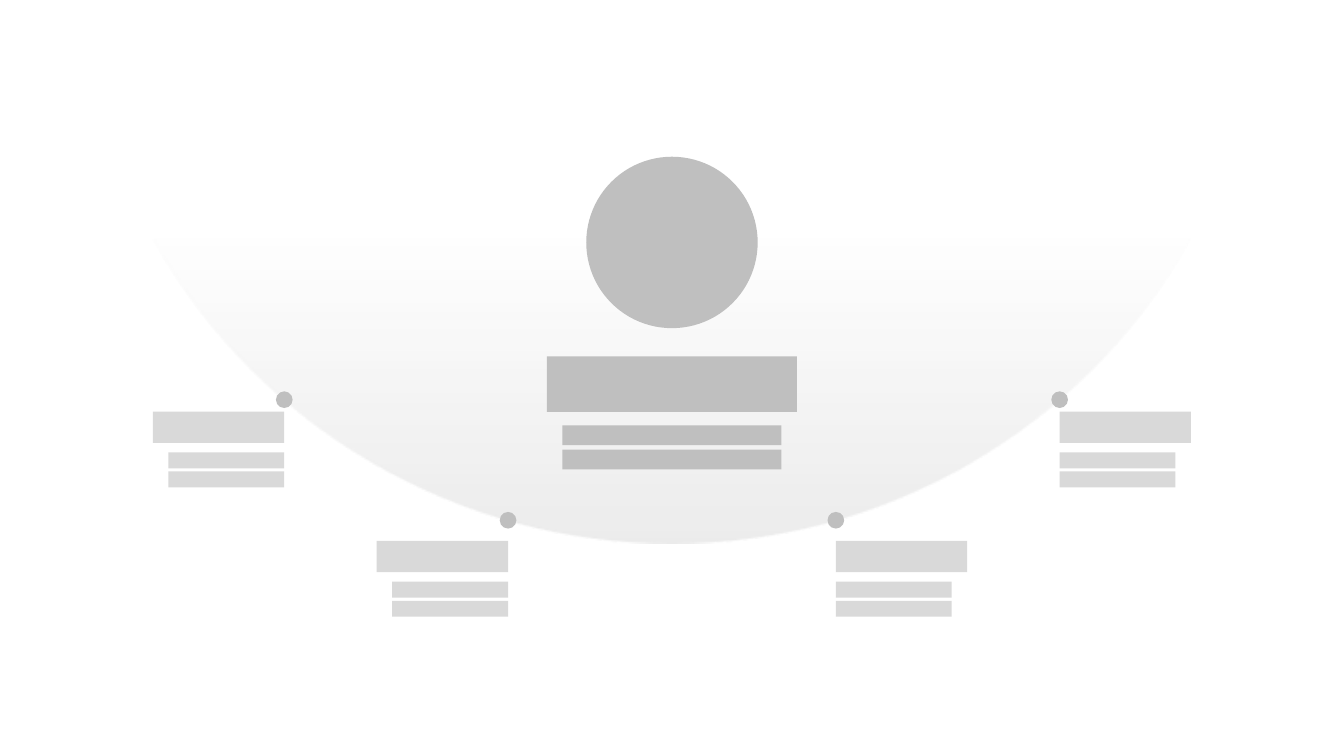
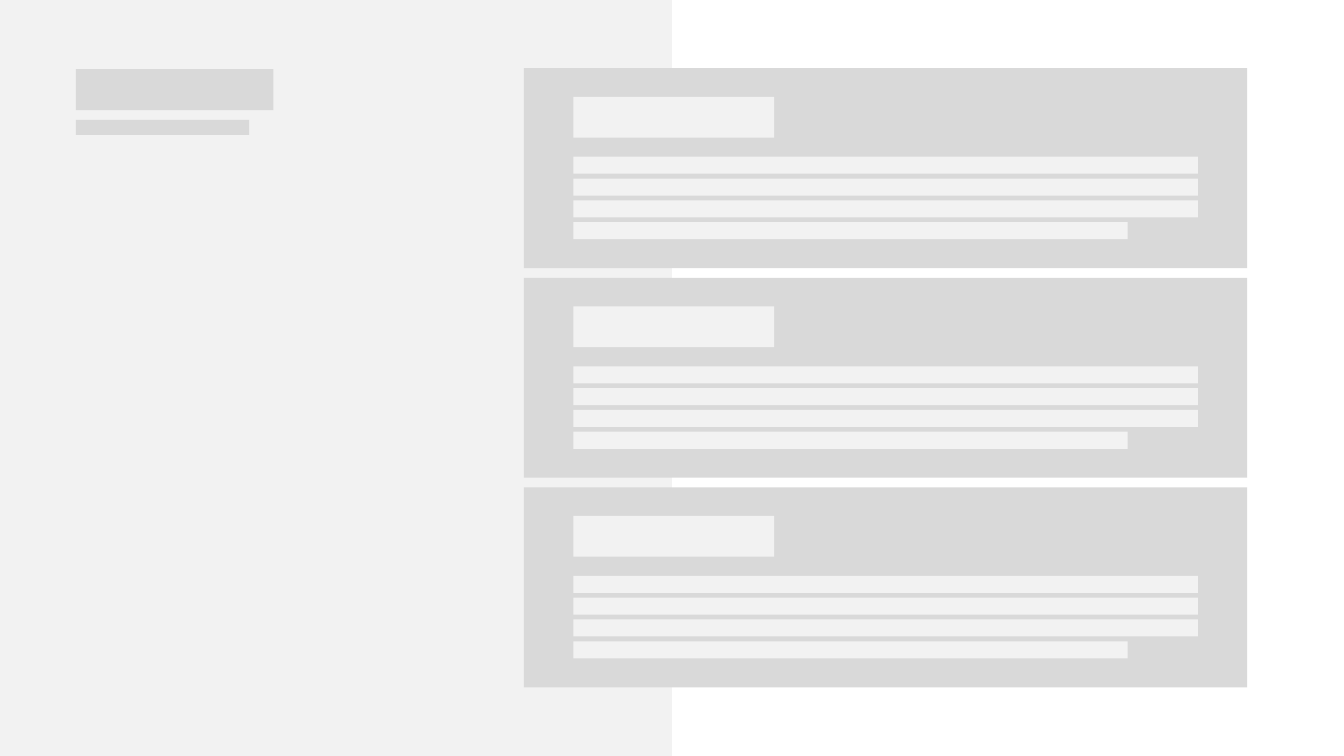
"""Build two wireframe slides: a profile on an arc and a column of cards."""
from dataclasses import dataclass
from math import sqrt

from lxml import etree
from pptx import Presentation
from pptx.dml.color import RGBColor
from pptx.enum.shapes import MSO_SHAPE
from pptx.oxml.ns import qn
from pptx.util import Cm

RECTANGLE = MSO_SHAPE.RECTANGLE
OVAL = MSO_SHAPE.OVAL

SLIDE_WIDTH, SLIDE_HEIGHT = 33.87, 19.05
CENTER = SLIDE_WIDTH / 2
BLANK_LAYOUT = 6
ALIGN_LEFT, ALIGN_CENTER, ALIGN_RIGHT = 0, 0.5, 1


@dataclass(frozen=True)
class Theme:
    arc: RGBColor = RGBColor(0x80, 0x80, 0x80)
    strong: RGBColor = RGBColor(0xBF, 0xBF, 0xBF)
    medium: RGBColor = RGBColor(0xD9, 0xD9, 0xD9)
    light: RGBColor = RGBColor(0xF2, 0xF2, 0xF2)


THEME = Theme()

# Each bar is (offset from block top, width, height).
PROFILE_BARS = [(0, 6.3, 1.4), (1.74, 5.52, 0.5), (2.35, 5.52, 0.5)]
LABEL_BARS = [(0, 3.31, 0.79), (1.03, 2.92, 0.4), (1.51, 2.92, 0.4)]
TITLE_BARS = [(0, 4.98, 1.04), (1.28, 4.37, 0.38)]
CARD_LINE_WIDTHS = [15.74, 15.74, 15.74, 13.97]
CARD_BARS = [(0, 5.06, 1.03)] + [
    (1.51 + 0.55 * row, width, 0.43) for row, width in enumerate(CARD_LINE_WIDTHS)
]

ARC_RADIUS, ARC_CENTER_Y = 15, -1.31
ARC_STOPS = [(0.74, 0), (1, 15)]
PORTRAIT_DIAMETER, PORTRAIT_TOP = 4.32, 3.95
PROFILE_TOP = 8.98
DOT_DIAMETER = 0.42
# Each pair is (distance of the dots from the center, label drop below the dot).
DOT_PAIRS = [(9.77, 0.3), (4.13, 0.52)]

CARD_COUNT = 3
CARD_LEFT, CARD_TOP, CARD_WIDTH, CARD_HEIGHT = 13.2, 1.72, 18.23, 5.04
CARD_GAP = 0.24
CARD_PADDING_X, CARD_PADDING_Y = 1.25, 0.72
TITLE_LEFT, TITLE_TOP = 1.91, 1.74


def add_plain_shape(shapes, kind, left, top, width, height, color):
    shape = shapes.add_shape(kind, Cm(left), Cm(top), Cm(width), Cm(height))
    shape.shadow.inherit = False
    shape.fill.solid()
    shape.fill.fore_color.rgb = color
    shape.line.fill.background()
    return shape


def add_circle(shapes, center_x, center_y, diameter, color):
    return add_plain_shape(shapes, OVAL, center_x - diameter / 2,
                           center_y - diameter / 2, diameter, diameter, color)


def add_bars(slide, anchor_x, top, bars, color, align=ALIGN_LEFT):
    group = slide.shapes.add_group_shape()
    for offset, width, height in bars:
        add_plain_shape(group.shapes, RECTANGLE, anchor_x - width * align,
                        top + offset, width, height, color)


def fade_fill(shape, color, stops):
    shape.fill.gradient()
    shape.fill.gradient_angle = 270
    for stop, (position, _) in zip(shape.fill.gradient_stops, stops):
        stop.position = position
        stop.color.rgb = color
    colors = shape.element.spPr.findall(".//" + qn("a:srgbClr"))
    for element, (_, opacity) in zip(colors, stops):
        alpha = etree.SubElement(element, qn("a:alpha"))
        alpha.set("val", str(opacity * 1000))


def build_profile_slide(slide):
    arc = add_circle(slide.shapes, CENTER, ARC_CENTER_Y, 2 * ARC_RADIUS, THEME.arc)
    fade_fill(arc, THEME.arc, ARC_STOPS)
    add_circle(slide.shapes, CENTER, PORTRAIT_TOP + PORTRAIT_DIAMETER / 2,
               PORTRAIT_DIAMETER, THEME.strong)
    add_bars(slide, CENTER, PROFILE_TOP, PROFILE_BARS, THEME.strong, ALIGN_CENTER)
    for distance, drop in DOT_PAIRS:
        dot_y = ARC_CENTER_Y + sqrt(ARC_RADIUS ** 2 - distance ** 2)
        for side, align in ((-1, ALIGN_RIGHT), (1, ALIGN_LEFT)):
            dot_x = CENTER + side * distance
            add_circle(slide.shapes, dot_x, dot_y, DOT_DIAMETER, THEME.strong)
            add_bars(slide, dot_x, dot_y + drop, LABEL_BARS, THEME.medium, align)


def build_cards_slide(slide):
    add_plain_shape(slide.shapes, RECTANGLE, 0, 0, CENTER, SLIDE_HEIGHT, THEME.light)
    add_bars(slide, TITLE_LEFT, TITLE_TOP, TITLE_BARS, THEME.medium)
    for index in range(CARD_COUNT):
        top = CARD_TOP + index * (CARD_HEIGHT + CARD_GAP)
        add_plain_shape(slide.shapes, RECTANGLE, CARD_LEFT, top,
                        CARD_WIDTH, CARD_HEIGHT, THEME.medium)
        add_bars(slide, CARD_LEFT + CARD_PADDING_X, top + CARD_PADDING_Y,
                 CARD_BARS, THEME.light)


def main():
    presentation = Presentation()
    presentation.slide_width = Cm(SLIDE_WIDTH)
    presentation.slide_height = Cm(SLIDE_HEIGHT)
    layout = presentation.slide_layouts[BLANK_LAYOUT]
    for build in (build_profile_slide, build_cards_slide):
        build(presentation.slides.add_slide(layout))
    presentation.save("out.pptx")


if __name__ == "__main__":
    main()
